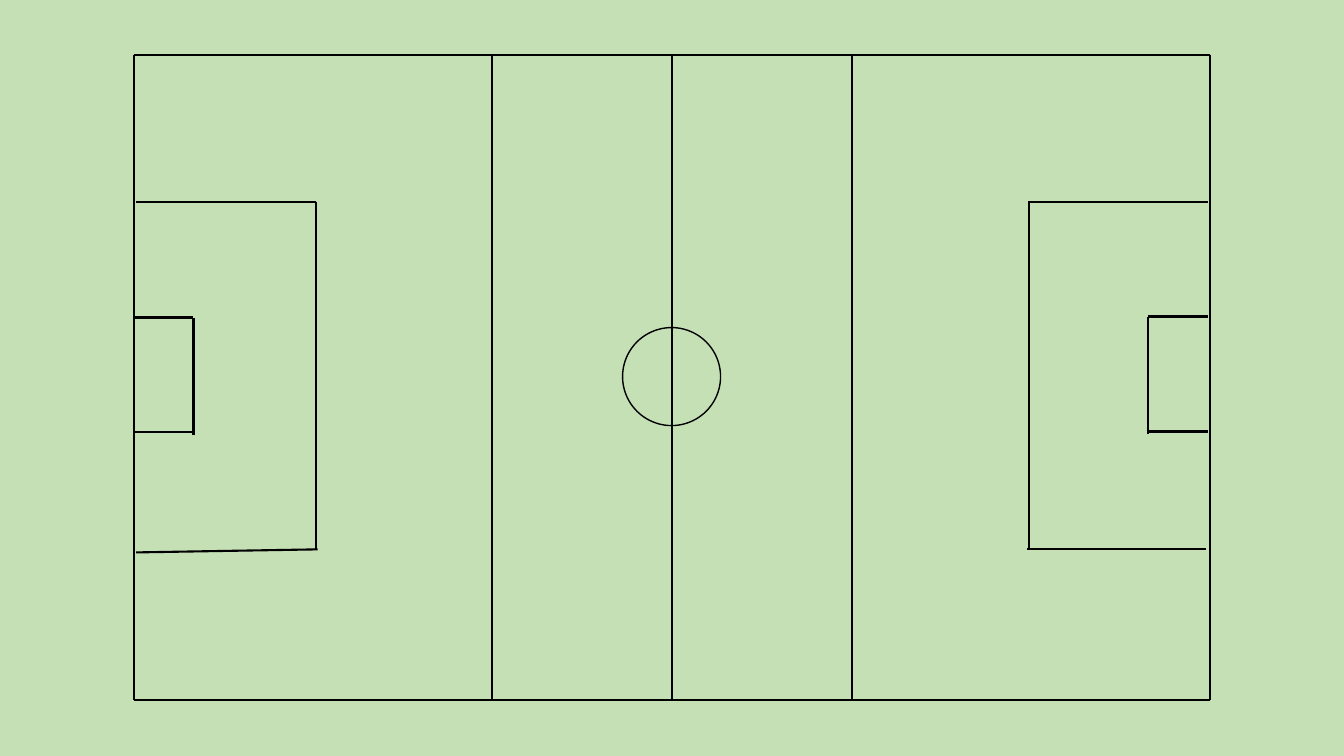
"""Draw a football pitch with its markings on a pale green slide."""
from typing import NamedTuple

import lxml.etree
import pptx
import pptx.dml.color
import pptx.enum.shapes
import pptx.oxml.ns
import pptx.shapes.autoshape
import pptx.shapes.connector
import pptx.shapes.shapetree
import pptx.util

COLORS = {"grass": "C6E0B5", "marking": "000000"}
LEFT, RIGHT, TOP, BOTTOM = 96, 864, 39, 499.7
HALFWAY = (LEFT + RIGHT) / 2
THIRD_BOTTOM = 501


class Marking(NamedTuple):
    start_x: float
    start_y: float
    end_x: float
    end_y: float


class Circle(NamedTuple):
    left: float
    top: float
    diameter: float


BOUNDARY = [
    Marking(LEFT, TOP, LEFT, BOTTOM),
    Marking(RIGHT, BOTTOM, LEFT, BOTTOM),
    Marking(RIGHT, TOP, RIGHT, BOTTOM),
    Marking(RIGHT, TOP, LEFT, TOP),
    Marking(HALFWAY, TOP, HALFWAY, BOTTOM),
]
GOAL_AREAS = [
    marking
    for left, right, front, top in ((LEFT, 138.2, 138.2, 226.8), (820, 862.6, 820, 226.1))
    for marking in (
        Marking(left, top, right, top),
        Marking(left, top + 82.1, right, top + 82.1),
        Marking(front, top + 84.2, front, top),
    )
]
PENALTY_AREAS = [
    Marking(226, 392.4, 226, 144),
    Marking(97.2, 144, 226, 144),
    Marking(734.4, 144, 862.6, 144),
    Marking(97.2, 394.6, 226.8, 392.4),
    Marking(733.7, 392.4, 861.8, 392.4),
    Marking(735, 392.4, 735, 144),
]
THIRDS = [Marking(x, TOP, x, THIRD_BOTTOM) for x in (608.5, 351.2)]
CENTRE_CIRCLE = Circle(444.7, 234, 70)


def color(name: str) -> pptx.dml.color.RGBColor:
    """Return a named colour."""
    return pptx.dml.color.RGBColor.from_string(COLORS[name])


def draw_marking(
    shapes: pptx.shapes.shapetree.GroupShapes, marking: Marking
) -> pptx.shapes.connector.Connector:
    """Draw a straight pitch marking."""
    connector = shapes.add_connector(
        pptx.enum.shapes.MSO_CONNECTOR.STRAIGHT, *map(pptx.util.Pt, marking)
    )
    connector.line.color.rgb = color("marking")
    connector.line.width = pptx.util.Pt(1.5)
    properties = connector._element.spPr
    lxml.etree.SubElement(properties, pptx.oxml.ns.qn("a:effectLst"))
    return connector


def draw_circle(
    shapes: pptx.shapes.shapetree.GroupShapes, circle: Circle
) -> pptx.shapes.autoshape.Shape:
    """Draw an unfilled circle."""
    shape = shapes.add_shape(
        pptx.enum.shapes.MSO_SHAPE.OVAL,
        *map(pptx.util.Pt, (circle.left, circle.top, circle.diameter, circle.diameter)),
    )
    shape.shadow.inherit = False
    shape.fill.background()
    shape.line.color.rgb = color("marking")
    shape.line.width = pptx.util.Pt(1)
    return shape


def main() -> None:
    """Build and save the presentation."""
    presentation = pptx.Presentation()
    presentation.slide_width = pptx.util.Pt(960)
    presentation.slide_height = pptx.util.Pt(540)
    slide = presentation.slides.add_slide(presentation.slide_layouts[6])
    slide.background.fill.solid()
    slide.background.fill.fore_color.rgb = color("grass")

    pitch = slide.shapes.add_group_shape()
    for marking in BOUNDARY + GOAL_AREAS + PENALTY_AREAS + THIRDS:
        draw_marking(pitch.shapes, marking)
    draw_circle(pitch.shapes, CENTRE_CIRCLE)
    presentation.save("out.pptx")


if __name__ == "__main__":
    main()
